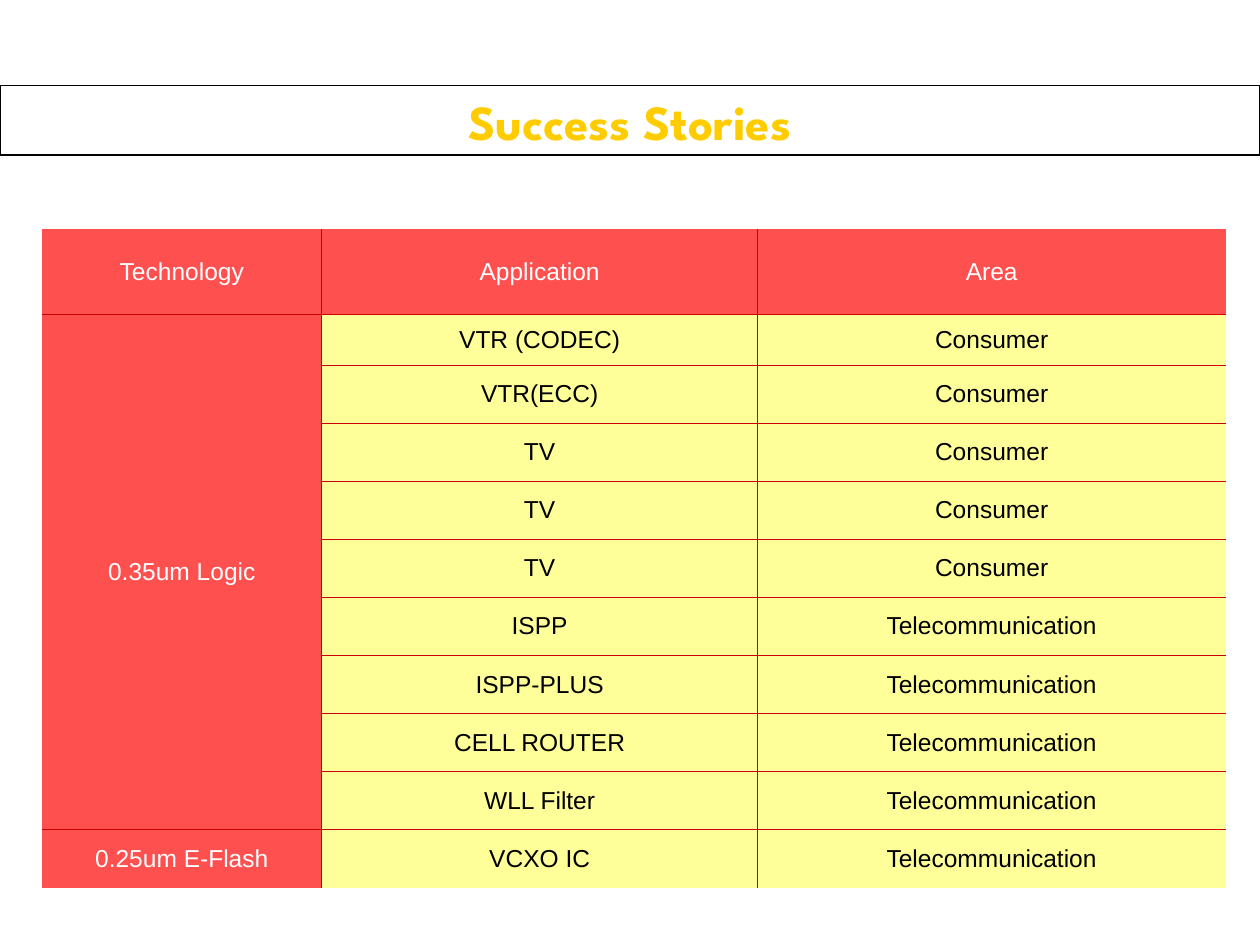
from lxml.etree import SubElement
from pptx import Presentation
from pptx.dml.color import RGBColor
from pptx.enum.shapes import MSO_SHAPE as Shape
from pptx.enum.text import MSO_ANCHOR as Anchor, PP_ALIGN as Align
from pptx.oxml.ns import qn
from pptx.util import Pt

COLORS = {"head": "FF5050", "body": "FFFF99", "rule": "CC0000",
          "title": "FFCC00", "white": "FFFFFF", "black": "000000"}
COLUMNS = [159.8, 249.2, 267.4]
ROWS = [48.7, 29.1] + [33.2] * 9
HEADINGS = ["Technology", "Application", "Area"]
STORIES = [
    ("0.35um Logic", "VTR (CODEC)", "Consumer"),
    ("", "VTR(ECC)", "Consumer"),
    ("", "TV", "Consumer"),
    ("", "TV", "Consumer"),
    ("", "TV", "Consumer"),
    ("", "ISPP", "Telecommunication"),
    ("", "ISPP-PLUS", "Telecommunication"),
    ("", "CELL ROUTER", "Telecommunication"),
    ("", "WLL Filter", "Telecommunication"),
    ("0.25um E-Flash", "VCXO IC", "Telecommunication"),
]


def rgb(name):
    """Return the named colour."""
    return RGBColor.from_string(COLORS[name])


def add_text(tf, text, font, size, color, bold=False):
    """Write one centred run into a text frame."""
    p = tf.paragraphs[0]
    p.alignment = Align.CENTER
    r = p.add_run()
    r.text = text
    r.font.name, r.font.size, r.font.bold = font, Pt(size), bold
    r.font.color.rgb = rgb(color)


def set_borders(cell, shown):
    """Rule the shown sides of a cell and clear the others."""
    pr = cell._tc.get_or_add_tcPr()
    for i, side in enumerate("LRTB"):
        ln = SubElement(pr, qn(f"a:ln{side}"), w=str(Pt(0.45)))
        if side in shown:
            fill = SubElement(ln, qn("a:solidFill"))
            SubElement(fill, qn("a:srgbClr"), val=COLORS["rule"])
        else:
            SubElement(ln, qn("a:noFill"))
        pr.insert(i, ln)


def add_title(s, x, y, w, h):
    """Add the outlined title bar."""
    sp = s.shapes.add_shape(Shape.RECTANGLE, Pt(x), Pt(y), Pt(w), Pt(h))
    sp.shadow.inherit = False
    sp.fill.background()
    sp.line.color.rgb = rgb("black")
    sp.line.width = Pt(0.75)
    tf = sp.text_frame
    tf.word_wrap = True
    tf.vertical_anchor = Anchor.TOP
    add_text(tf, "Success Stories", "League Spartan", 28, "title", True)


def add_stories(s, x, y):
    """Add the table of technologies, applications and areas."""
    data = [HEADINGS, *STORIES]
    table = s.shapes.add_table(len(ROWS), len(COLUMNS), Pt(x), Pt(y),
                               Pt(sum(COLUMNS)), Pt(sum(ROWS))).table
    for column, width in zip(table.columns, COLUMNS):
        column.width = Pt(width)
    for row, height in zip(table.rows, ROWS):
        row.height = Pt(height)
    for i, texts in enumerate(data):
        for j, text in enumerate(texts):
            cell = table.cell(i, j)
            head = i == 0 or j == 0
            cell.vertical_anchor = Anchor.MIDDLE
            cell.fill.solid()
            cell.fill.fore_color.rgb = rgb("head" if head else "body")
            inner = {"L": j > 0, "R": j < len(COLUMNS) - 1,
                     "T": i > 0, "B": i < len(ROWS) - 1}
            set_borders(cell, [side for side in inner if inner[side]])
            if text:
                add_text(cell.text_frame, text, "Arial", 14,
                         "white" if head else "black")
    table.cell(1, 0).merge(table.cell(9, 0))


def main():
    """Build and save the slide."""
    prs = Presentation()
    prs.slide_width, prs.slide_height = Pt(720), Pt(540)
    s = prs.slides.add_slide(prs.slide_layouts[6])
    add_stories(s, 24, 130.8)
    add_title(s, 0, 48.8, 720, 39.8)
    prs.save("out.pptx")


if __name__ == "__main__":
    main()
